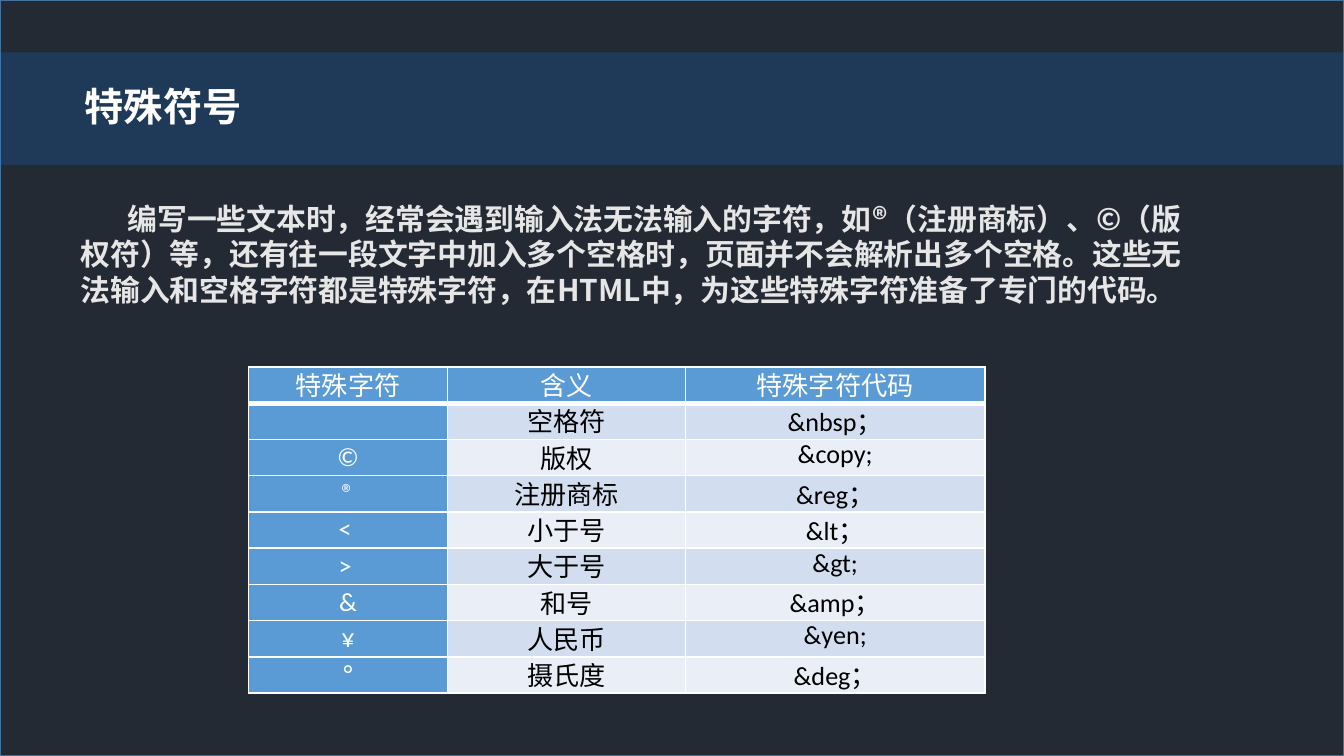
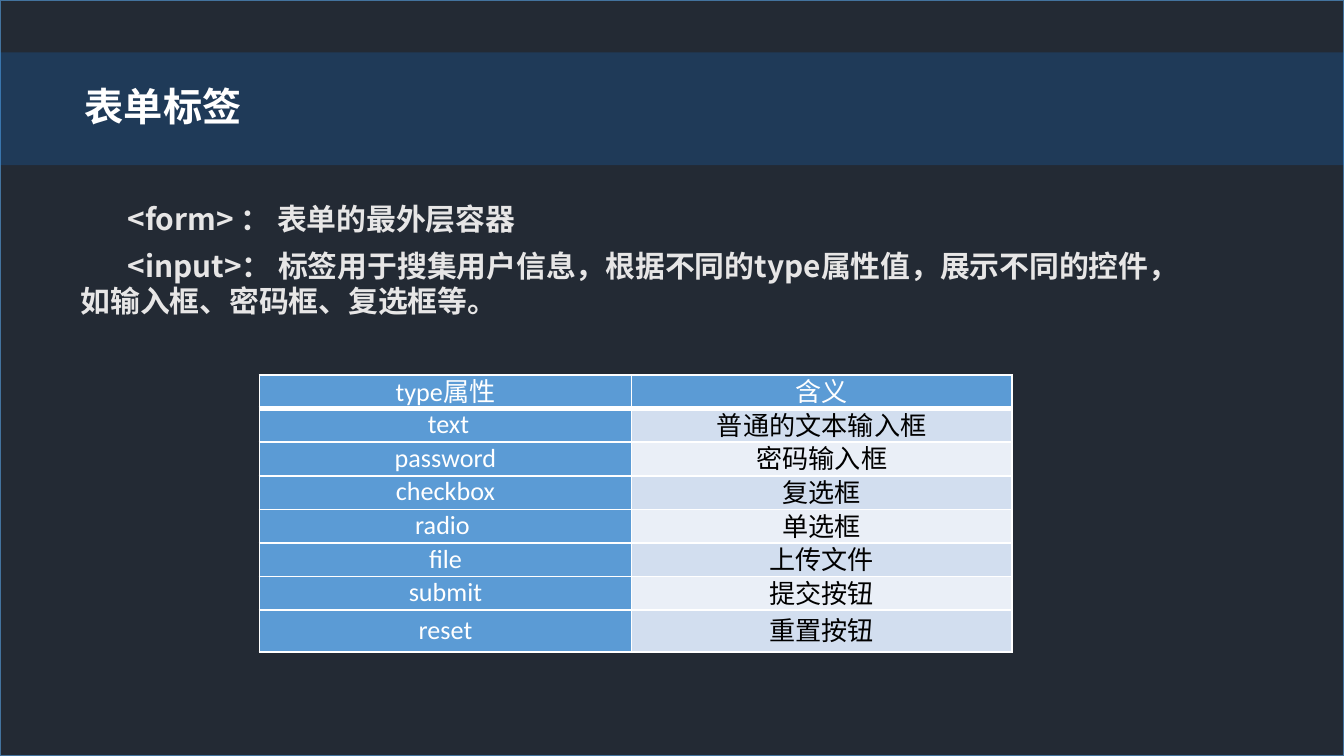
from pptx import Presentation
from pptx.dml.color import RGBColor
from pptx.enum.shapes import MSO_SHAPE
from pptx.enum.text import MSO_ANCHOR, PP_ALIGN
from pptx.oxml import parse_xml
from pptx.oxml.ns import nsdecls, qn
from pptx.util import Inches, Pt
from lxml import etree

RECT = MSO_SHAPE.RECTANGLE
TOP, MIDDLE = MSO_ANCHOR.TOP, MSO_ANCHOR.MIDDLE
CENTER, LEFT = PP_ALIGN.CENTER, PP_ALIGN.LEFT

DARK = RGBColor(0x23, 0x2A, 0x34)
EDGE = RGBColor(0x43, 0x73, 0x9E)
BAND = RGBColor(0x13, 0x7E, 0xEC)
WHITE = RGBColor(0xFF, 0xFF, 0xFF)
BLACK = RGBColor(0, 0, 0)
PALE = RGBColor(0xE7, 0xE6, 0xE6)
HEAD = RGBColor(0x5B, 0x9B, 0xD5)
STRIPES = (RGBColor(0xD2, 0xDE, 0xEF), RGBColor(0xEA, 0xEF, 0xF7))
LATIN, HAN = "Calibri", "Noto Sans CJK SC"
WIDE = 10
HIGH = WIDE * 9 / 16

SIGNS = [
    ("特殊字符", "含义", "特殊字符代码"),
    ("", "空格符", "&nbsp；"),
    ("©", "版权", "&copy;"),
    ("®", "注册商标", "&reg；"),
    ("< ", "小于号", "&lt；"),
    ("> ", "大于号", "&gt;"),
    ("&", "和号", "&amp；"),
    ("¥", "人民币", "&yen;"),
    ("°", "摄氏度", "&deg；"),
]
TYPES = [
    ("type属性", "含义"),
    (" text", "普通的文本输入框"),
    ("password", "密码输入框"),
    ("checkbox", "复选框"),
    ("radio ", "单选框"),
    ("file", "上传文件"),
    ("submit", "提交按钮"),
    ("reset", "重置按钮"),
]


def place(shape, box):
    shape.left, shape.top, shape.width, shape.height = map(Inches, box)


def write(para, text, size, color, font=LATIN, bold=False):
    run = para.add_run()
    run.text = text
    run.font.size = Pt(size)
    run.font.name = font
    run.font.bold = bold
    run.font.color.rgb = color
    if font == HAN:
        face = etree.SubElement(run.font._element, qn("a:ea"))
        face.set("typeface", font)


def add_rect(slide, box, color):
    rect = slide.shapes.add_shape(RECT, *map(Inches, box))
    rect.shadow.inherit = False
    rect.fill.solid()
    rect.fill.fore_color.rgb = color
    rect.line.fill.background()
    return rect


def add_back(slide):
    """Draw the dark page and the see-through title band behind the text."""
    page = add_rect(slide, (0, 0, WIDE, HIGH), DARK)
    page.line.color.rgb = EDGE
    page.line.width = Pt(1)
    band = add_rect(slide, (0, 0.39, WIDE, 0.84), BAND)
    tint = band._element.spPr.find(qn("a:solidFill"))[0]
    etree.SubElement(tint, qn("a:alpha")).set("val", "20000")
    tree = slide.shapes._spTree
    for spot, rect in enumerate((page, band), 2):
        tree.insert(spot, rect._element)


def add_title(slide, text):
    title = slide.shapes.title
    place(title, (0.53, 0.56, 9.2, 0.45))
    frame = title.text_frame
    frame.word_wrap = True
    frame.vertical_anchor = MIDDLE
    para = frame.paragraphs[0]
    para.alignment = LEFT
    write(para, text, 21, WHITE, bold=True)


def add_body(slide, box, texts):
    body = slide.placeholders[1]
    place(body, box)
    frame = body.text_frame
    frame.word_wrap = True
    frame.vertical_anchor = TOP
    for i, text in enumerate(texts):
        para = frame.add_paragraph() if i else frame.paragraphs[0]
        para.space_before = Pt(6)
        para.line_spacing = 1.0
        props = para._p.get_or_add_pPr()
        props.set("marL", "0")
        props.set("indent", str(Inches(0.35)))
        etree.SubElement(props, qn("a:buNone"))
        write(para, text, 16, PALE, HAN, True)


def edge_cell(cell, low):
    """Give a cell white edges, the bottom one as wide as low."""
    props = cell._tc.get_or_add_tcPr()
    for spot, (side, width) in enumerate(zip("LRTB", (1, 1, 1, low))):
        props.insert(spot, parse_xml(
            f'<a:ln{side} {nsdecls("a")} w="{Pt(width)}"><a:solidFill>'
            f'<a:srgbClr val="{WHITE}"/></a:solidFill></a:ln{side}>'))


def fill_cell(cell, text, row, col, pitch):
    head = row == 0 or col == 0
    cell.fill.solid()
    cell.fill.fore_color.rgb = HEAD if head else STRIPES[(row - 1) % 2]
    cell.margin_left = cell.margin_right = Inches(0.12)
    cell.margin_top = cell.margin_bottom = 0
    cell.vertical_anchor = TOP if col == 2 else MIDDLE
    para = cell.text_frame.paragraphs[0]
    para.alignment = CENTER
    para.line_spacing = pitch
    if text:
        write(para, text, 14, WHITE if head else BLACK)
    else:
        para._p.get_or_add_endParaRPr().set("sz", "1400")
    edge_cell(cell, 1 if row else 3)


def add_grid(slide, spot, cols, highs, rows, pitch):
    """Add a table; pitch is the line spacing that keeps its rows low."""
    box = (*spot, sum(cols), sum(highs))
    grid = slide.shapes.add_table(len(rows), len(cols), *map(Inches, box)).table
    grid.first_col = True
    for col, width in zip(grid.columns, cols):
        col.width = Inches(width)
    for r, (high, texts) in enumerate(zip(highs, rows)):
        grid.rows[r].height = Inches(high)
        for c, text in enumerate(texts):
            fill_cell(grid.cell(r, c), text, r, c, pitch)


def add_page(deck, title, texts, high):
    slide = deck.slides.add_slide(deck.slide_layouts[1])
    add_back(slide)
    add_body(slide, (0.5, 1.44, 8.57, high), texts)
    add_title(slide, title)
    return slide


def main():
    deck = Presentation()
    deck.slide_width, deck.slide_height = Inches(WIDE), Inches(HIGH)
    signs = add_page(deck, "特殊符号", [
        "编写一些文本时，经常会遇到输入法无法输入的字符，如®（注册商标）、"
        "©（版权符）等，还有往一段文字中加入多个空格时，页面并不会解析出多个空格。"
        "这些无法输入和空格字符都是特殊字符，在HTML中，为这些特殊字符准备了专门的代码。",
    ], 1.88)
    add_grid(signs, (1.85, 2.73), (1.48, 1.77, 2.23), [0.27] * 9, SIGNS, 0.94)
    form = add_page(deck, "表单标签", [
        "<form> ： 表单的最外层容器",
        "<input>： 标签用于搜集用户信息，根据不同的type属性值，展示不同的控件，"
        "如输入框、密码框、复选框等。",
    ], 1.35)
    add_grid(form, (1.93, 2.79), (2.77, 2.83), [0.25] * 7 + [0.31], TYPES, 0.87)
    deck.save("out.pptx")


if __name__ == "__main__":
    main()
